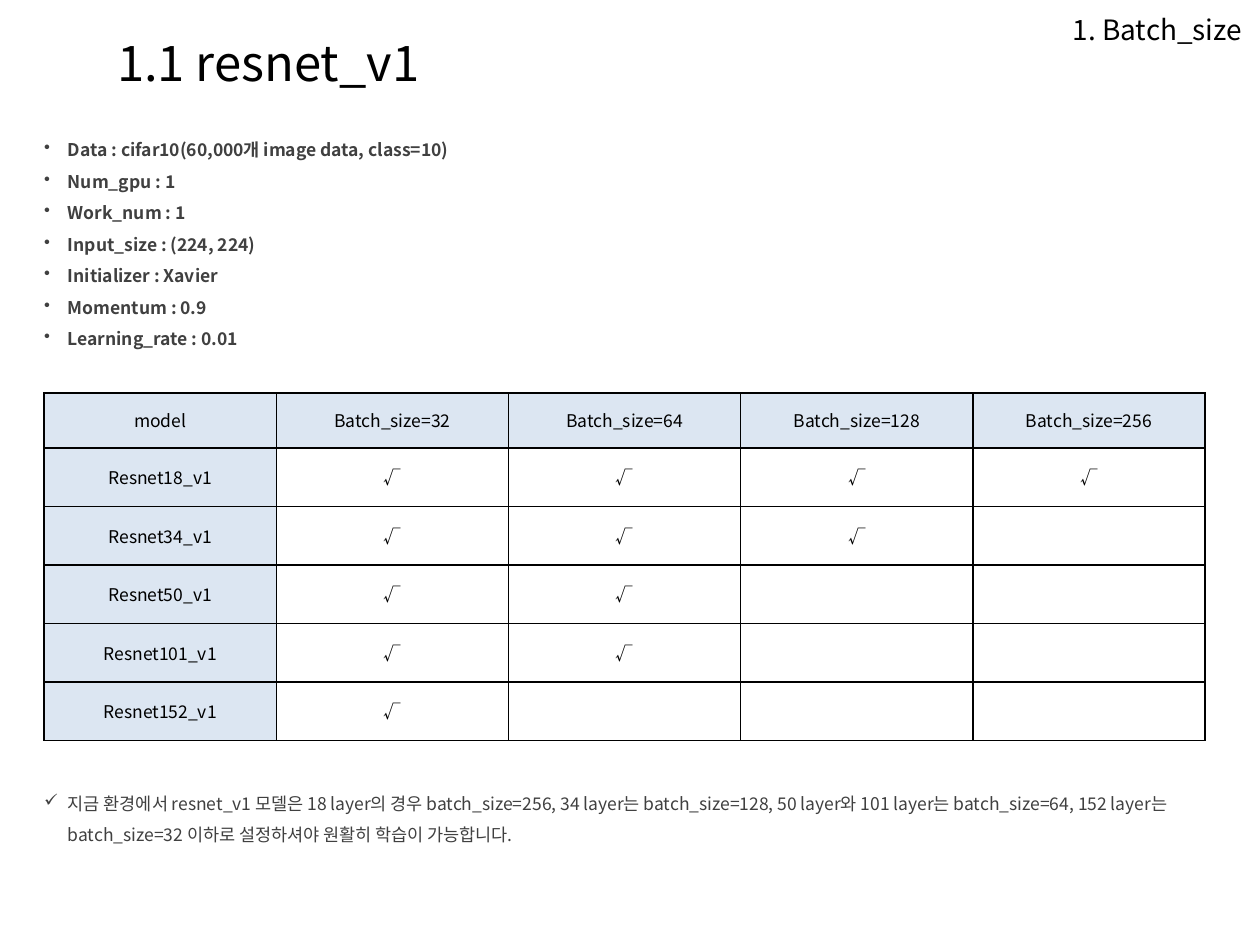
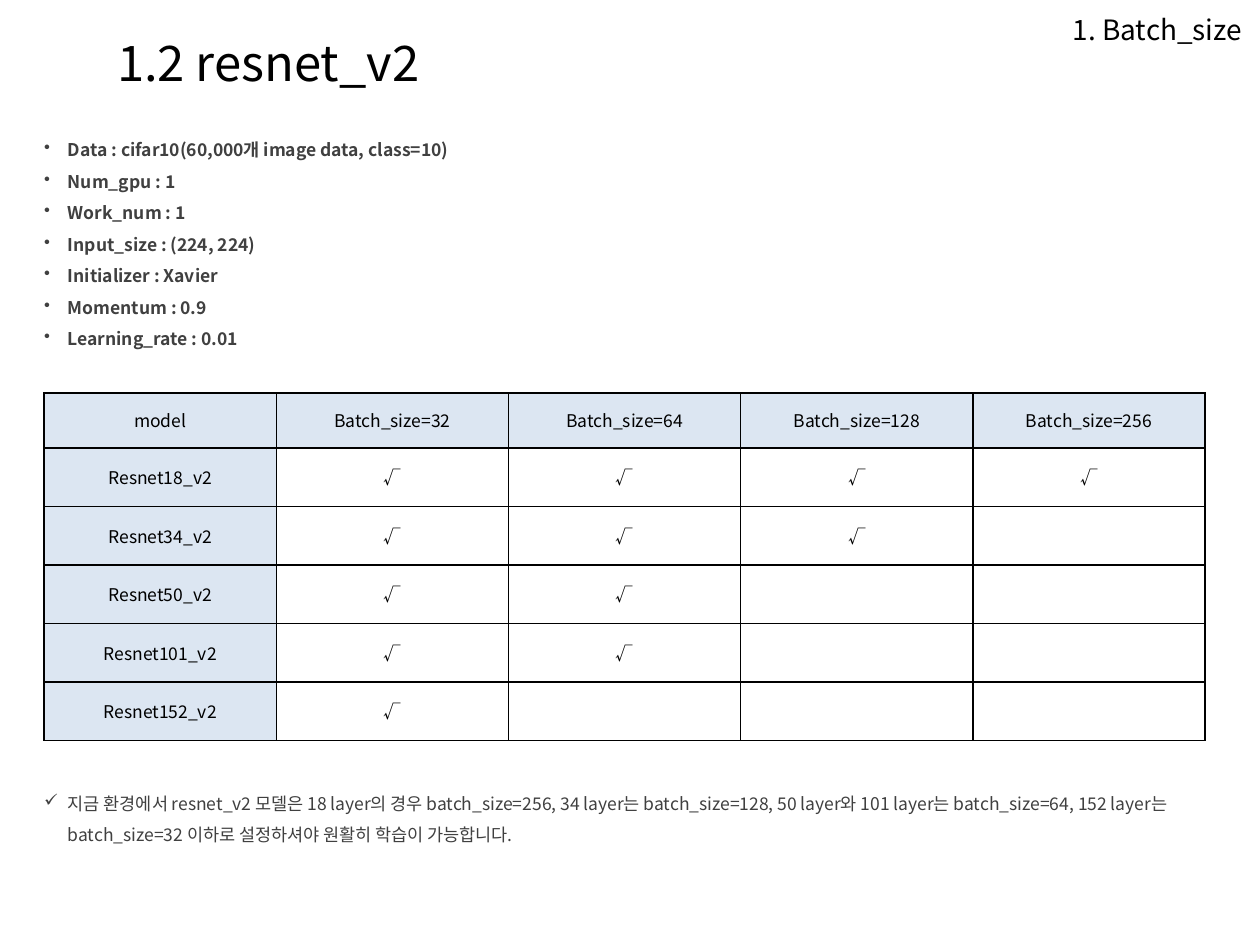
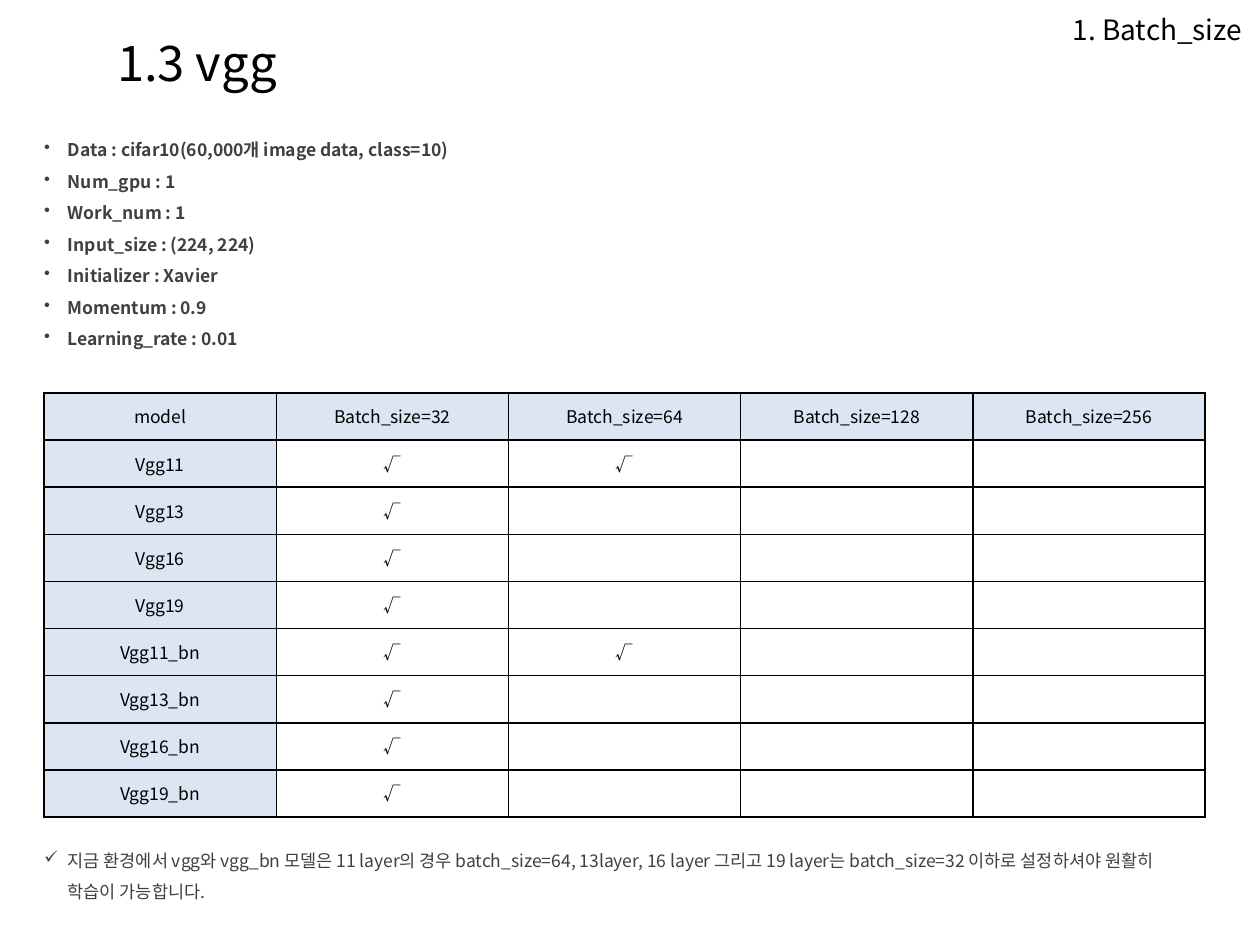
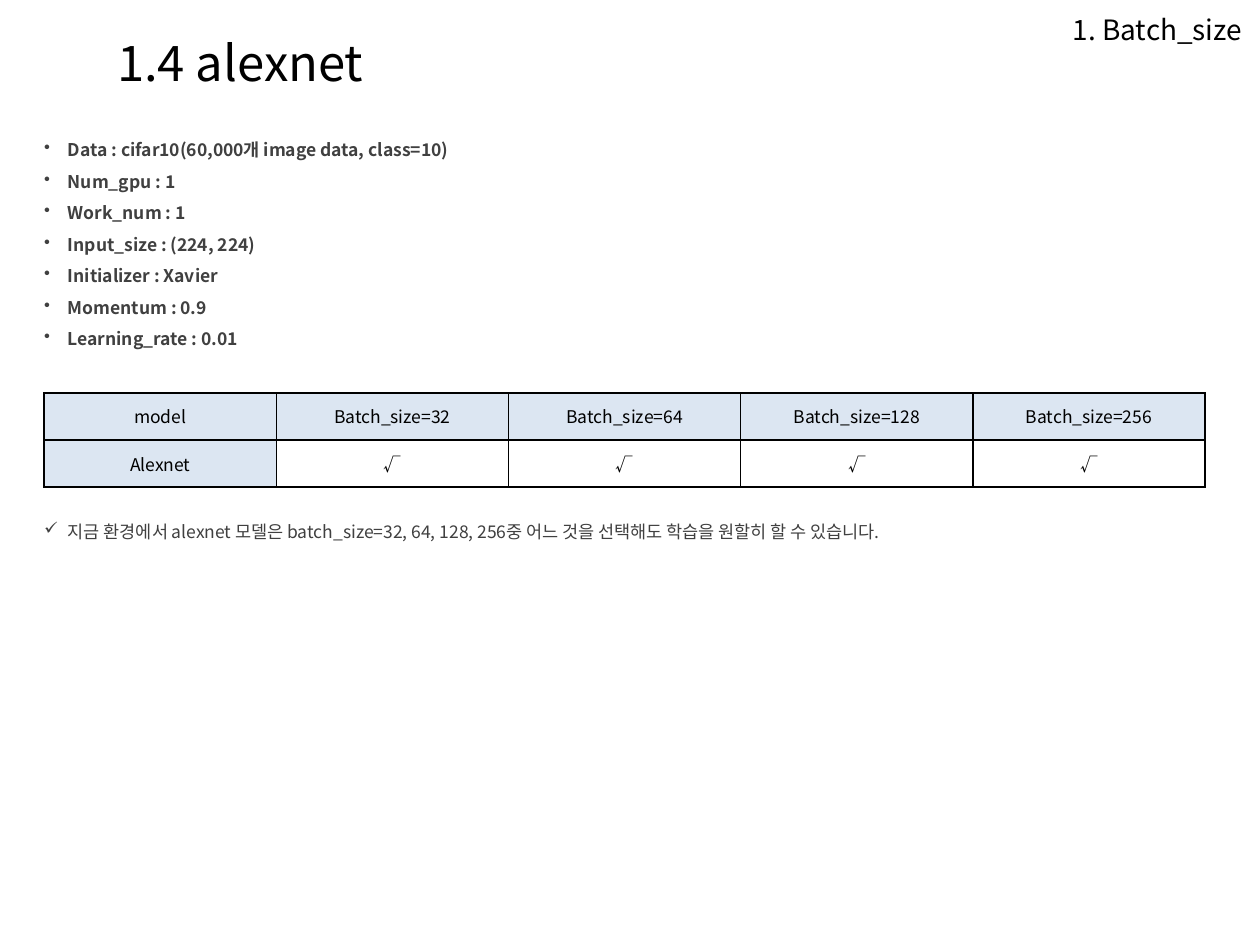
from dataclasses import dataclass

from lxml.etree import SubElement
from pptx import Presentation
from pptx.dml.color import RGBColor
from pptx.enum.text import MSO_ANCHOR, MSO_AUTO_SIZE, PP_ALIGN
from pptx.oxml.ns import qn
from pptx.slide import Slide
from pptx.table import _Cell
from pptx.text.text import TextFrame, _Paragraph
from pptx.util import Cm, Pt

# Shared style
FONT = "Noto Sans CJK KR"
BLACK = RGBColor(0x00, 0x00, 0x00)
DARK_GRAY = RGBColor(0x40, 0x40, 0x40)
PALE_BLUE = RGBColor(0xDC, 0xE6, 0xF2)
BODY_SIZE = 10
BORDER_WIDTH = Pt(1)

# Shared layout
CONTENT_LEFT, CONTENT_WIDTH = Cm(0.89), Cm(23.4)
TABLE_TOP = Cm(7.92)
INDENT = Cm(0.48)
LINE_HEIGHT = Cm(0.64)

# Shared wording
SECTION = "1. Batch_size"
SETTINGS = [
    "Data : cifar10(60,000개 image data, class=10)",
    "Num_gpu : 1",
    "Work_num : 1",
    "Input_size : (224, 224)",
    "Initializer : Xavier",
    "Momentum : 0.9",
    "Learning_rate : 0.01",
]
BATCH_SIZES = [32, 64, 128, 256]
CHECK = "√"


@dataclass
class ModelPage:
    title: str
    largest_batch: dict[str, int]  # model name -> largest batch size that runs
    header_height: Cm
    row_height: Cm
    note: str
    note_top: Cm
    note_lines: int = 2


def format_runs(para: _Paragraph, size: float, color: RGBColor, bold: bool = False) -> None:
    for span in para.runs:
        span.font.size = Pt(size)
        span.font.name = FONT
        span.font.bold = bold
        span.font.color.rgb = color
        SubElement(span.font._element, qn("a:ea"), typeface=FONT)


def add_text_frame(page: Slide, left: Cm, top: Cm, width: Cm, height: Cm) -> TextFrame:
    frame = page.shapes.add_textbox(left, top, width, height).text_frame
    frame.word_wrap = True
    return frame


def add_heading(page: Slide, text: str, place: tuple[Cm, Cm, Cm, Cm], size: float,
                align: PP_ALIGN) -> None:
    frame = add_text_frame(page, *place)
    frame.text = text
    para = frame.paragraphs[0]
    para.alignment = align
    space = SubElement(para._p.get_or_add_pPr(), qn("a:spcBef"))
    SubElement(space, qn("a:spcPct"), val="20000")
    format_runs(para, size, BLACK)


def add_bullets(page: Slide, lines: list[str], bullet: str, top: Cm, height: Cm,
                bold: bool = False) -> None:
    frame = add_text_frame(page, CONTENT_LEFT, top, CONTENT_WIDTH, height)
    frame.margin_left = frame.margin_right = frame.margin_top = frame.margin_bottom = 0
    frame.auto_size = MSO_AUTO_SIZE.SHAPE_TO_FIT_TEXT
    frame.text = "\n".join(lines)
    for para in frame.paragraphs:
        para.line_spacing = 1.5
        properties = para._p.get_or_add_pPr()
        properties.set("marL", str(INDENT))
        properties.set("indent", str(-INDENT))
        SubElement(properties, qn("a:buChar"), char=bullet)
        format_runs(para, BODY_SIZE, DARK_GRAY, bold)


def add_borders(cell: _Cell) -> None:
    properties = cell._tc.get_or_add_tcPr()
    for side in ("lnL", "lnR", "lnT", "lnB"):
        line = SubElement(properties, qn(f"a:{side}"), w=str(BORDER_WIDTH))
        fill = SubElement(line, qn("a:solidFill"))
        SubElement(fill, qn("a:srgbClr"), val=str(BLACK))


def fill_cell(cell: _Cell, text: str, shaded: bool) -> None:
    cell.text = text
    cell.vertical_anchor = MSO_ANCHOR.MIDDLE
    para = cell.text_frame.paragraphs[0]
    para.alignment = PP_ALIGN.CENTER
    format_runs(para, BODY_SIZE, BLACK)
    if not text:  # keep empty cells from stretching the row
        SubElement(para._p, qn("a:endParaRPr"), sz=str(BODY_SIZE * 100))
    add_borders(cell)
    if shaded:
        cell.fill.solid()
        cell.fill.fore_color.rgb = PALE_BLUE
    else:
        cell.fill.background()


def add_batch_table(page: Slide, model_page: ModelPage) -> None:
    rows = [["model"] + [f"Batch_size={size}" for size in BATCH_SIZES]]
    for model, largest in model_page.largest_batch.items():
        rows.append([model] + [CHECK if size <= largest else "" for size in BATCH_SIZES])
    heights = [model_page.header_height] + [model_page.row_height] * (len(rows) - 1)
    table = page.shapes.add_table(len(rows), len(rows[0]), CONTENT_LEFT, TABLE_TOP,
                                  CONTENT_WIDTH, sum(heights)).table
    table.first_row = table.horz_banding = False
    for row_index, (texts, height) in enumerate(zip(rows, heights)):
        table.rows[row_index].height = height
        for column_index, text in enumerate(texts):
            shaded = row_index == 0 or column_index == 0
            fill_cell(table.cell(row_index, column_index), text, shaded)


def add_model_page(deck: Presentation, model_page: ModelPage) -> None:
    page = deck.slides.add_slide(deck.slide_layouts[6])
    add_heading(page, SECTION, (Cm(17.09), Cm(0.13), Cm(8.2), Cm(0.81)), 16, PP_ALIGN.RIGHT)
    add_heading(page, model_page.title, (Cm(2.11), Cm(0.53), Cm(19), Cm(1.45)), 28,
                PP_ALIGN.LEFT)
    add_bullets(page, SETTINGS, "•", Cm(2.59), LINE_HEIGHT * len(SETTINGS), bold=True)
    add_batch_table(page, model_page)
    add_bullets(page, [model_page.note], "✓", model_page.note_top,
                LINE_HEIGHT * model_page.note_lines)


def resnet_page(number: str, version: str) -> ModelPage:
    largest = {18: 256, 34: 128, 50: 64, 101: 64, 152: 32}
    return ModelPage(
        title=f"{number} resnet_{version}",
        largest_batch={f"Resnet{depth}_{version}": size for depth, size in largest.items()},
        header_height=Cm(1.11),
        row_height=Cm(1.18),
        note=f"지금 환경에서 resnet_{version} 모델은 18 layer의 경우 batch_size=256, "
             "34 layer는 batch_size=128, 50 layer와 101 layer는 batch_size=64, "
             "152 layer는 batch_size=32 이하로 설정하셔야 원활히 학습이 가능합니다.",
        note_top=Cm(15.77),
    )


# Page contents
VGG_BATCH = {11: 64, 13: 32, 16: 32, 19: 32}
MODEL_PAGES = [
    resnet_page("1.1", "v1"),
    resnet_page("1.2", "v2"),
    ModelPage(
        title="1.3 vgg",
        largest_batch={f"Vgg{depth}{suffix}": size for suffix in ("", "_bn")
                       for depth, size in VGG_BATCH.items()},
        header_height=Cm(0.95),
        row_height=Cm(0.95),
        note="지금 환경에서 vgg와 vgg_bn 모델은 11 layer의 경우 batch_size=64, "
             "13layer, 16 layer 그리고 19 layer는 batch_size=32 이하로 설정하셔야 "
             "원활히 학습이 가능합니다.",
        note_top=Cm(16.92),
    ),
    ModelPage(
        title="1.4 alexnet",
        largest_batch={"Alexnet": 256},
        header_height=Cm(0.95),
        row_height=Cm(0.95),
        note="지금 환경에서 alexnet 모델은 batch_size=32, 64, 128, 256중 어느 것을 "
             "선택해도 학습을 원할히 할 수 있습니다.",
        note_top=Cm(10.29),
        note_lines=1,
    ),
]

# Build the deck
deck = Presentation()
deck.slide_width, deck.slide_height = Cm(25.4), Cm(19.05)
for model_page in MODEL_PAGES:
    add_model_page(deck, model_page)
deck.save("out.pptx")
